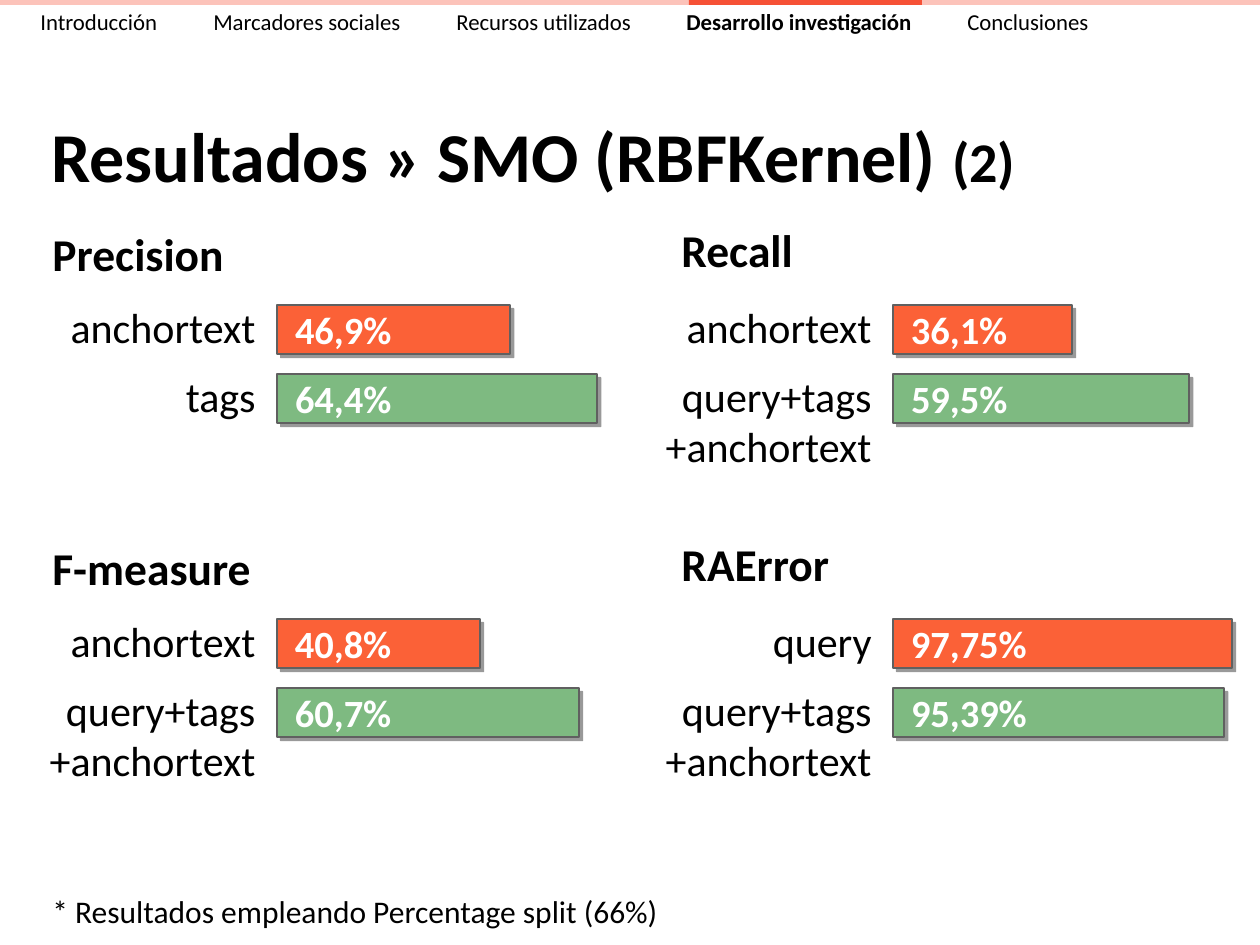
from dataclasses import dataclass

from lxml.etree import SubElement
from pptx import Presentation
from pptx.dml.color import RGBColor
from pptx.enum.shapes import MSO_SHAPE
from pptx.enum.text import MSO_ANCHOR, PP_ALIGN
from pptx.oxml.ns import qn
from pptx.util import Emu, Pt

SECTIONS = [
    ("Introducción", 0),
    ("Marcadores sociales", 173),
    ("Recursos utilizados", 416),
    ("Desarrollo investigación", 646),
    ("Conclusiones", 927),
]
ACTIVE_SECTION = "Desarrollo investigación"
TITLE = "Resultados » SMO (RBFKernel) "
TITLE_PART = "(2)"
FOOTNOTE = "* Resultados empleando Percentage split (66%)"
COMBINED = "query+tags\n+anchortext"
PANELS = [
    [
        ("Precision", 4.97, [("anchortext", "46,9%"), ("tags", "64,4%")]),
        ("Recall", 4.97, [("anchortext", "36,1%"), (COMBINED, "59,5%")]),
    ],
    [
        ("F-measure", 4.97, [("anchortext", "40,8%"), (COMBINED, "60,7%")]),
        ("RAError", 3.47, [("query", "97,75%"), (COMBINED, "95,39%")]),
    ],
]
COLUMNS = [
    {"heading": 40, "bars": 277, "heading_rise": 85},
    {"heading": 669, "bars": 893, "heading_rise": 89},
]
FIRST_BAR_TOP = 305
PANEL_PITCH = 314
BAR_PITCH = 69
BAR_HEIGHT = 49
LABEL_WIDTH = 250
LABEL_GAP = 9
LABEL_RISE = 10


@dataclass(frozen=True)
class Theme:
    font: str = "Calibri"
    text: str = "000000"
    bar_text: str = "FFFFFF"
    bars: tuple = ("FB6137", "7EBA81")
    outline: str = "606060"
    strip: str = "FCC3BA"
    active: str = "F65136"
    title_size: int = 40
    part_size: int = 32
    heading_size: int = 26
    label_size: int = 24
    value_size: int = 22
    note_size: int = 18
    section_size: int = 13


THEME = Theme()


def px(length):
    return Emu(round(length * 914400 / 126))


def add_run(paragraph, text, size, bold=False, color=THEME.text):
    run = paragraph.add_run()
    run.text = text
    run.font.name = THEME.font
    run.font.size = Pt(size)
    run.font.bold = bold
    run.font.color.rgb = RGBColor.from_string(color)


def add_text_box(slide, left, top, width, height):
    frame = slide.shapes.add_textbox(*map(px, (left, top, width, height))).text_frame
    frame.word_wrap = True
    return frame


def add_rectangle(slide, left, top, width, height, color):
    shape = slide.shapes.add_shape(
        MSO_SHAPE.RECTANGLE, *map(px, (left, top, width, height))
    )
    shape.shadow.inherit = False
    shape.fill.solid()
    shape.fill.fore_color.rgb = RGBColor.from_string(color)
    shape.line.fill.background()
    return shape


def add_shadow(shape):
    effects = shape._element.spPr.find(qn("a:effectLst"))
    shadow = SubElement(
        effects, qn("a:outerShdw"), dist=str(Pt(3)), dir="2700000", algn="ctr", rotWithShape="0"
    )
    color = SubElement(shadow, qn("a:srgbClr"), val="000000")
    SubElement(color, qn("a:alpha"), val="40000")


def add_bar(slide, left, top, value, scale, color):
    width = round(float(value.rstrip("%").replace(",", ".")) * scale)
    bar = add_rectangle(slide, left, top, width, BAR_HEIGHT, color)
    bar.line.color.rgb = RGBColor.from_string(THEME.outline)
    bar.line.width = Pt(0.75)
    add_shadow(bar)
    frame = bar.text_frame
    frame.margin_left = px(18)
    frame.margin_top = frame.margin_bottom = 0
    frame.vertical_anchor = MSO_ANCHOR.MIDDLE
    paragraph = frame.paragraphs[0]
    paragraph.alignment = PP_ALIGN.LEFT
    add_run(paragraph, value, THEME.value_size, True, THEME.bar_text)


def add_label(slide, right, top, label):
    frame = add_text_box(slide, right - LABEL_WIDTH, top, LABEL_WIDTH, 76)
    paragraph = frame.paragraphs[0]
    paragraph.alignment = PP_ALIGN.RIGHT
    for number, line in enumerate(label.split("\n")):
        if number:
            paragraph.add_line_break()
        add_run(paragraph, line, THEME.label_size)


def add_panel(slide, column, top, heading, scale, rows):
    frame = add_text_box(slide, column["heading"], top - column["heading_rise"], 236, 76)
    add_run(frame.paragraphs[0], heading, THEME.heading_size, True)
    for number, ((label, value), color) in enumerate(zip(rows, THEME.bars)):
        bar_top = top + number * BAR_PITCH
        add_bar(slide, column["bars"], bar_top, value, scale, color)
        add_label(slide, column["bars"] - LABEL_GAP, bar_top - LABEL_RISE, label)


def add_navigation(slide):
    add_rectangle(slide, 0, 0, 1260, 5, THEME.strip)
    add_rectangle(slide, 689, 0, 233, 5, THEME.active)
    paragraph = add_text_box(slide, 28, 2, 1216, 40).paragraphs[0]
    tabs = SubElement(paragraph._p.get_or_add_pPr(), qn("a:tabLst"))
    for name, position in SECTIONS:
        if position:
            SubElement(tabs, qn("a:tab"), pos=str(px(position)), algn="l")
            add_run(paragraph, "\t", THEME.section_size)
        add_run(paragraph, name, THEME.section_size, name == ACTIVE_SECTION)


def main():
    presentation = Presentation()
    presentation.slide_width, presentation.slide_height = px(1260), px(945)
    slide = presentation.slides.add_slide(presentation.slide_layouts[6])

    title = add_text_box(slide, 39, 108, 1211, 93)
    title.vertical_anchor = MSO_ANCHOR.MIDDLE
    add_run(title.paragraphs[0], TITLE, THEME.title_size, True)
    add_run(title.paragraphs[0], TITLE_PART, THEME.part_size, True)

    for row, panels in enumerate(PANELS):
        for column, panel in zip(COLUMNS, panels):
            add_panel(slide, column, FIRST_BAR_TOP + row * PANEL_PITCH, *panel)

    add_navigation(slide)
    footnote = add_text_box(slide, 40, 886, 1181, 49)
    add_run(footnote.paragraphs[0], FOOTNOTE, THEME.note_size)
    presentation.save("out.pptx")


if __name__ == "__main__":
    main()
